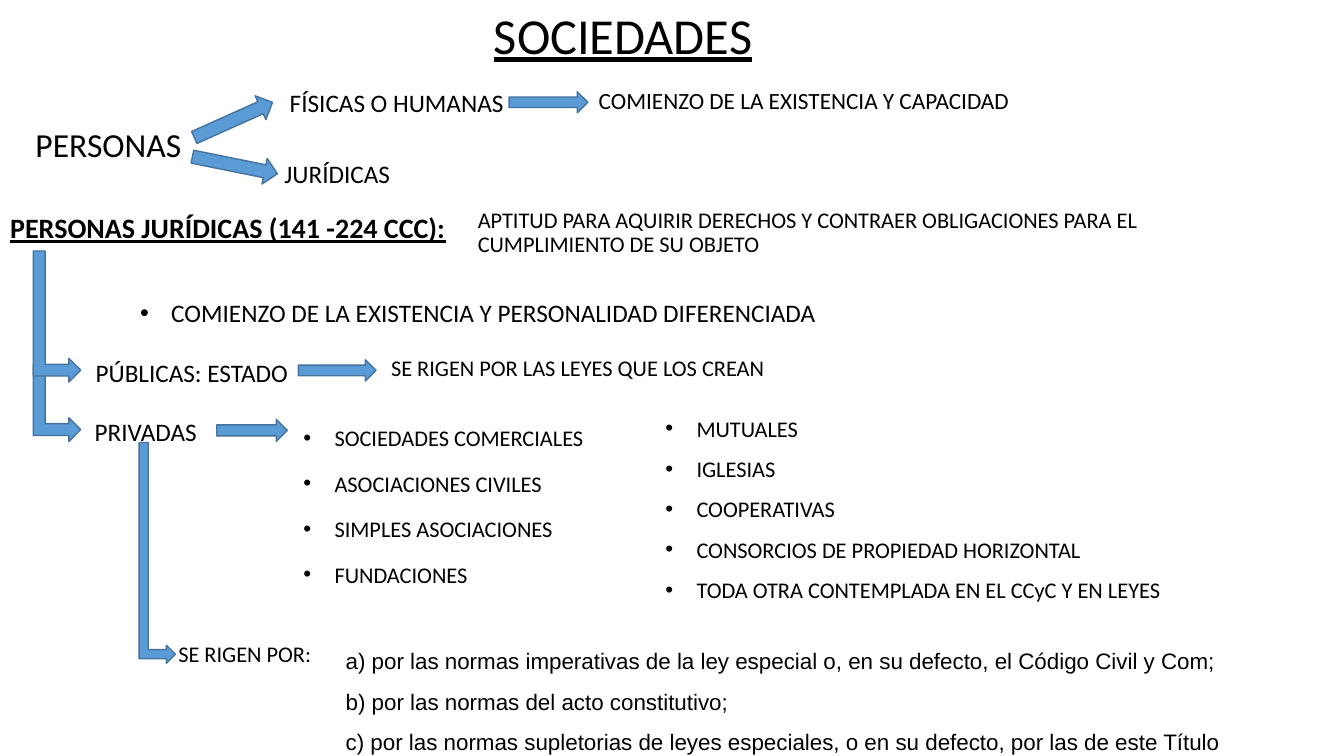
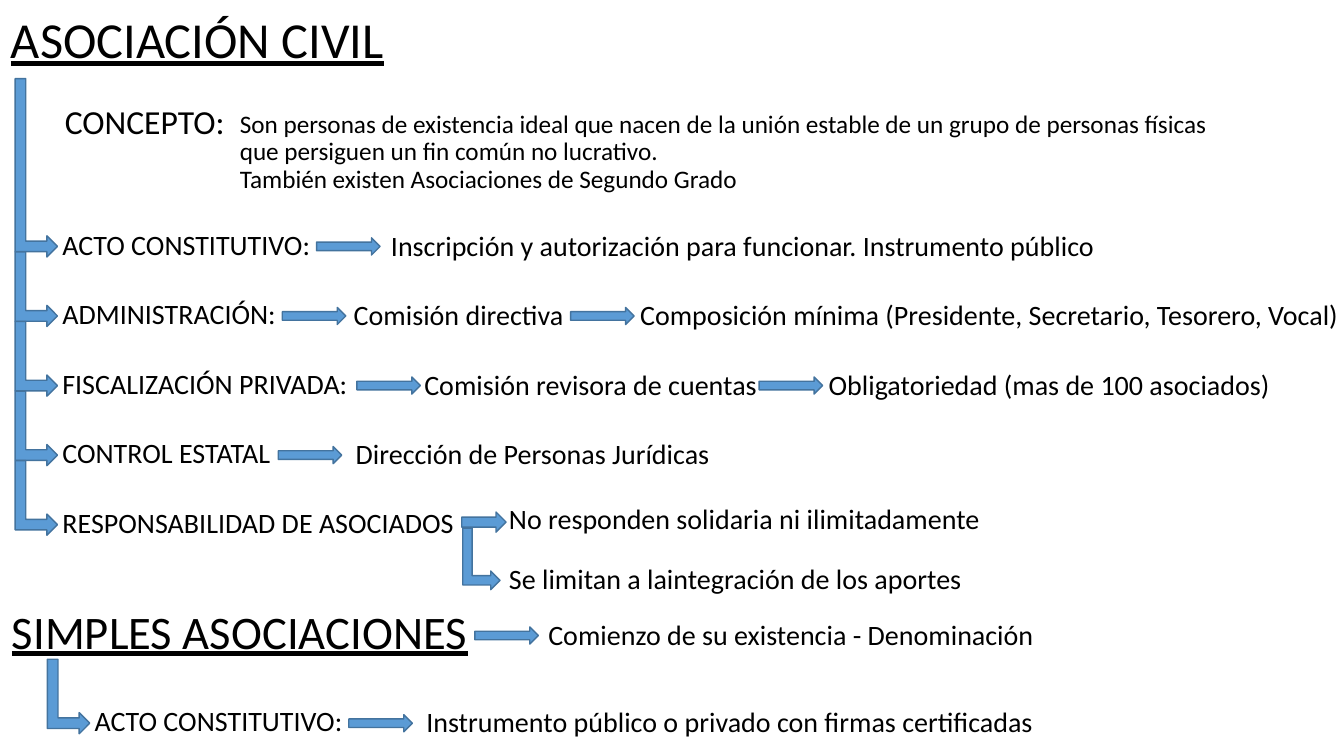
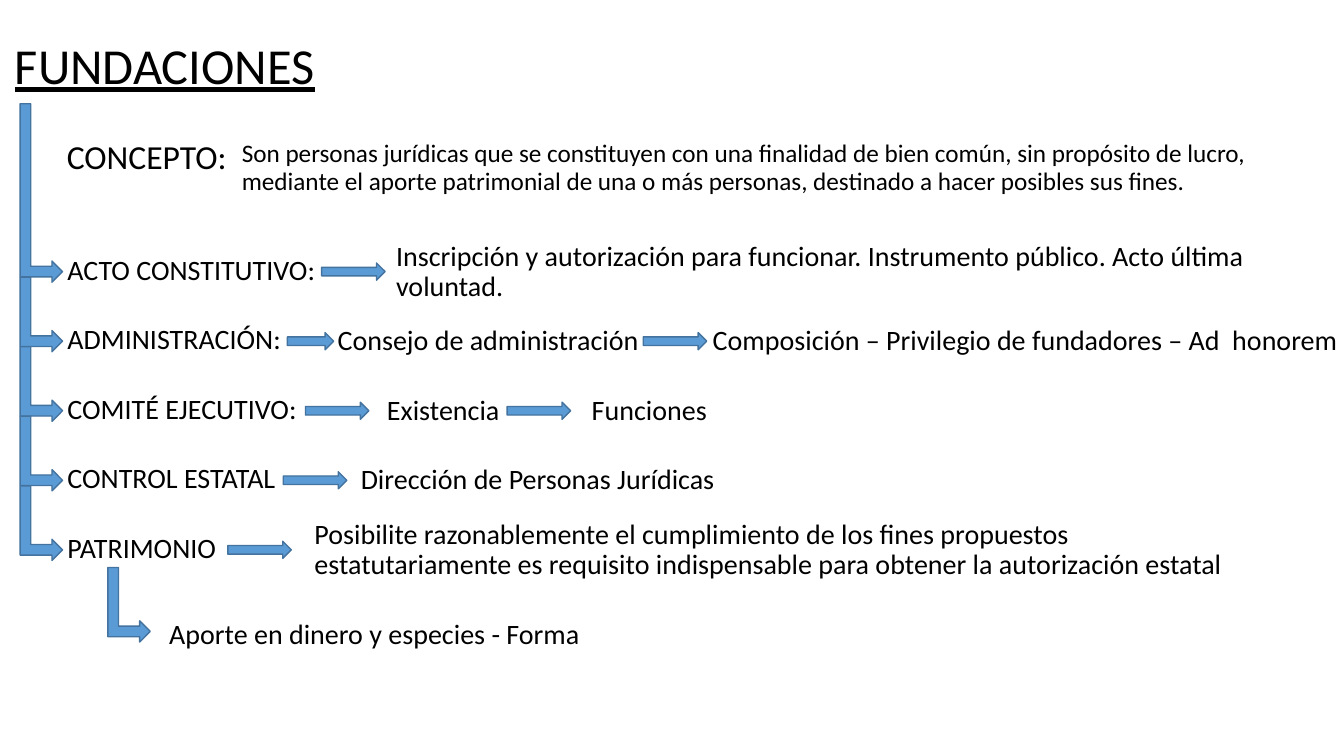
import pptx
import pptx.util
import pptx.dml.color
import pptx.enum.shapes
import pptx.enum.text
import pptx.oxml.ns
import lxml.etree

Inches, Pt = pptx.util.Inches, pptx.util.Pt
MSO_SHAPE = pptx.enum.shapes.MSO_SHAPE
PP_ALIGN = pptx.enum.text.PP_ALIGN
MSO_ANCHOR = pptx.enum.text.MSO_ANCHOR


def rgb(value):
    """Turn a hex string into a colour."""
    return pptx.dml.color.RGBColor.from_string(value)


class Deck:
    """Hold the shared style and the slide being drawn."""

    INK, FILL, LINE = "000000", "5B9BD5", "43739E"
    FONT = "Calibri"
    LABEL_H = 0.51
    ROW_STEP = 0.69

    def __init__(self):
        """Start an empty wide presentation."""
        self.prs = pptx.Presentation()
        self.prs.slide_width = Inches(13.33)
        self.prs.slide_height = Inches(7.5)
        self.s = None

    def slide(self):
        """Add a blank slide and make it current."""
        self.s = self.prs.slides.add_slide(self.prs.slide_layouts[6])

    def text(self, x, y, w, h, text, size=20, center=False, spacing=0.9, top=False,
             bold=False, underline=False, bullet=False, font=FONT):
        """Add a text box with one paragraph per line of text."""
        tf = self.s.shapes.add_textbox(Inches(x), Inches(y), Inches(w), Inches(h)).text_frame
        tf.word_wrap = True
        tf.vertical_anchor = MSO_ANCHOR.TOP if top else MSO_ANCHOR.BOTTOM
        for i, line in enumerate(text.split("\n")):
            p = tf.add_paragraph() if i else tf.paragraphs[0]
            p.alignment = PP_ALIGN.CENTER if center else PP_ALIGN.LEFT
            p.line_spacing = spacing
            if bullet:
                self.bullet(p)
            r = p.add_run()
            r.text = line
            r.font.name, r.font.size = font, Pt(size)
            r.font.bold, r.font.underline = bold, underline
            r.font.color.rgb = rgb(self.INK)

    def bullet(self, p):
        """Give a paragraph a round bullet with a hanging indent."""
        pPr = p._p.get_or_add_pPr()
        pPr.set("marL", str(Inches(0.31)))
        pPr.set("indent", str(Inches(-0.31)))
        qn = pptx.oxml.ns.qn
        lxml.etree.SubElement(pPr, qn("a:buFont")).set("typeface", "Arial")
        lxml.etree.SubElement(pPr, qn("a:buChar")).set("char", "•")

    def title(self, x, y, w, text, h=0.8, size=36, center=False):
        """Add an underlined heading."""
        self.text(x, y, w, h, text, size, center, top=True, underline=True)

    def shape(self, kind, x, y, w, h, rotation):
        """Add a preset shape in the arrow style."""
        sp = self.s.shapes.add_shape(kind, Inches(x), Inches(y), Inches(w), Inches(h))
        sp.rotation = rotation
        sp.shadow.inherit = False
        sp.fill.solid()
        sp.fill.fore_color.rgb = rgb(self.FILL)
        sp.line.color.rgb = rgb(self.LINE)
        sp.line.width = Pt(1)

    def arrow(self, x, y, w=0.63, h=0.17, rotation=0):
        """Add a block arrow pointing right."""
        self.shape(MSO_SHAPE.RIGHT_ARROW, x, y, w, h, rotation)

    def bend(self, x, y, w, h):
        """Add an arrow that runs down and then right inside the given box."""
        self.shape(MSO_SHAPE.BENT_UP_ARROW, x + (w - h) / 2, y + (h - w) / 2, h, w, 90)

    def row(self, rail, y, w, label, rise=0.74):
        """Add a label reached by a bent arrow from the rail."""
        self.bend(rail, y + 0.42 - rise, 0.42, rise)
        self.text(rail + 0.37, y, w, self.LABEL_H, label)

    def link(self, y, arrow_x, x, w, text, h=LABEL_H):
        """Add an arrow and the text it leads to on a row."""
        self.arrow(arrow_x, y + 0.23, min(0.63, x + 0.06 - arrow_x))
        self.text(x, y + 0.01, w, h, text)

    def branch(self, rail, y, rows):
        """Add evenly spaced rows, the first one with a long bent arrow."""
        for i, (w, label, links) in enumerate(rows):
            row_y = y + i * self.ROW_STEP
            self.row(rail, row_y, w, label, 0.74 if i else 1.77)
            for link in links:
                self.link(row_y, *link)

    def concept(self, x, y, text_x, text_y, w, h, text):
        """Add the concept label and its definition."""
        self.text(x, y, 1.83, self.LABEL_H, "CONCEPTO:", 24, center=True)
        self.text(text_x, text_y, w, h, text, 18)


def sociedades(deck):
    """Draw the overview of kinds of persons."""
    deck.slide()
    deck.title(2.22, 0.06, 7.92, "SOCIEDADES", center=True)
    deck.text(0, 1.17, 2.15, 0.51, "PERSONAS", 24, center=True)
    deck.arrow(1.89, 1.06, 0.85, 0.26, 335.8)
    deck.arrow(1.9, 1.51, 0.86, 0.26, 11.4)
    deck.text(2.43, 0.71, 3.01, 0.51, "FÍSICAS O HUMANAS", 18, center=True)
    deck.text(2.54, 1.41, 1.61, 0.51, "JURÍDICAS", 18, center=True)
    deck.arrow(5.05, 0.91, 0.78, 0.21)
    deck.text(5.84, 0.68, 4.46, 0.51, "COMIENZO DE LA EXISTENCIA Y CAPACIDAD", 16.6)
    deck.text(-0.15, 1.68, 4.82, 0.8, "PERSONAS JURÍDICAS (141 -224 CCC):", 20,
              center=True, bold=True, underline=True)
    deck.text(4.64, 2.09, 6.95, 0.51, "APTITUD PARA AQUIRIR DERECHOS Y CONTRAER "
              "OBLIGACIONES PARA EL CUMPLIMIENTO DE SU OBJETO", 16)
    deck.text(1.29, 2.79, 7.12, 0.51,
              "COMIENZO DE LA EXISTENCIA Y PERSONALIDAD DIFERENCIADA", 18, bullet=True)
    deck.bend(0.33, 3.62, 0.47, 0.76)
    deck.bend(0.33, 2.49, 0.47, 1.3)
    deck.text(0.85, 3.46, 2.11, 0.44, "PÚBLICAS: ESTADO", 18)
    deck.arrow(2.96, 3.57, 0.77, 0.21)
    deck.text(3.78, 3.39, 4.08, 0.44, "SE RIGEN POR LAS LEYES QUE LOS CREAN", 16)
    deck.text(0.84, 4.06, 1.31, 0.42, "PRIVADAS", 18)
    deck.arrow(2.15, 4.16, 0.7, 0.22)
    deck.text(2.91, 3.69, 3.32, 2.19, "SOCIEDADES COMERCIALES\nASOCIACIONES CIVILES\n"
              "SIMPLES ASOCIACIONES\nFUNDACIONES", 16, spacing=1.7, bullet=True)
    deck.text(6.5, 3.87, 6.42, 2.16, "MUTUALES\nIGLESIAS\nCOOPERATIVAS\n"
              "CONSORCIOS DE PROPIEDAD HORIZONTAL\n"
              "TODA OTRA CONTEMPLADA EN EL CCyC Y EN LEYES", 16, spacing=1.5, bullet=True)
    deck.bend(1.38, 4.39, 0.36, 2.19)
    deck.text(1.67, 6.23, 1.7, 0.44, "SE RIGEN POR:", 16)
    deck.text(3.33, 6.24, 9.05, 1.31,
              "a) por las normas imperativas de la ley especial o, en su defecto, "
              "el Código Civil y Com;\n"
              "b) por las normas del acto constitutivo;\n"
              "c) por las normas supletorias de leyes especiales, o en su defecto, "
              "por las de este Título", 16, spacing=1.5, top=True, font="Arial")


def asociacion_civil(deck):
    """Draw the civil and simple associations."""
    deck.slide()
    deck.title(0.01, 0.1, 4.36, "ASOCIACIÓN CIVIL")
    deck.concept(0.52, 0.95, 2.28, 1.04, 9.99, 0.93,
                 "Son personas de existencia ideal que nacen de la unión estable de un grupo "
                 "de personas físicas que persiguen un fin común no lucrativo.\n"
                 "También existen Asociaciones de Segundo Grado")
    deck.branch(0.15, 2.13, [
        (2.85, "ACTO CONSTITUTIVO:", [
            (3.14, 3.78, 8.26,
             "Inscripción y autorización para funcionar. Instrumento público")]),
        (2.36, "ADMINISTRACIÓN:", [
            (2.8, 3.41, 2.39, "Comisión directiva"),
            (5.66, 6.25, 7.25,
             "Composición mínima (Presidente, Secretario, Tesorero, Vocal)")]),
        (3.03, "FISCALIZACIÓN PRIVADA:", [
            (3.54, 4.11, 3.55, "Comisión revisora de cuentas"),
            (7.53, 8.12, 4.71, "Obligatoriedad (mas de 100 asociados)")]),
        (2.35, "CONTROL ESTATAL", [
            (2.76, 3.43, 3.8, "Dirección de Personas Jurídicas")]),
        (4.21, "RESPONSABILIDAD DE ASOCIADOS", []),
    ])
    deck.arrow(4.58, 5.08, 0.44, 0.2)
    deck.text(4.95, 4.85, 5.04, 0.51, "No responden solidaria ni ilimitadamente")
    deck.bend(4.59, 5.24, 0.37, 0.61)
    deck.text(4.95, 5.45, 5.04, 0.51, "Se limitan a laintegración de los aportes")
    deck.title(0.02, 5.99, 5, "SIMPLES ASOCIACIONES", h=0.65, size=33.3)
    deck.link(5.99, 4.71, 5.34, 5.93, "Comienzo de su existencia - Denominación")
    deck.row(0.47, 6.86, 2.85, "ACTO CONSTITUTIVO:")
    deck.link(6.86, 3.46, 4.13, 8.26, "Instrumento público o privado con firmas certificadas")


def fundaciones(deck):
    """Draw the foundations."""
    deck.slide()
    deck.title(0.05, 0.36, 4.36, "FUNDACIONES")
    deck.concept(0.54, 1.29, 2.3, 1.27, 10.3, 0.72,
                 "Son personas jurídicas que se constituyen con una finalidad de bien común, "
                 "sin propósito de lucro, mediante el aporte patrimonial de una o más "
                 "personas, destinado a hacer posibles sus fines.")
    deck.branch(0.2, 2.38, [
        (2.85, "ACTO CONSTITUTIVO:", [
            (3.19, 3.83, 8.61, "Inscripción y autorización para funcionar. "
             "Instrumento público. Acto última voluntad.", 0.66)]),
        (2.36, "ADMINISTRACIÓN:", [
            (2.85, 3.25, 3.33, "Consejo de administración"),
            (6.38, 6.97, 6.58, "Composición – Privilegio de fundadores – Ad  honorem")]),
        (2.56, "COMITÉ EJECUTIVO:", [
            (3.03, 3.74, 1.4, "Existencia"),
            (5.03, 5.77, 2.01, "Funciones")]),
        (2.35, "CONTROL ESTATAL", [
            (2.81, 3.48, 3.8, "Dirección de Personas Jurídicas")]),
        (2.35, "PATRIMONIO", [
            (2.26, 3.02, 9.58, "Posibilite razonablemente el cumplimiento de los fines "
             "propuestos estatutariamente es requisito indispensable para obtener la "
             "autorización estatal", 0.66)]),
    ])
    deck.bend(1.07, 5.63, 0.42, 0.74)
    deck.text(1.58, 5.99, 5.4, 0.51, "Aporte en dinero y especies - Forma")


def main():
    """Build and save the presentation."""
    deck = Deck()
    sociedades(deck)
    asociacion_civil(deck)
    fundaciones(deck)
    deck.prs.save("out.pptx")


if __name__ == "__main__":
    main()
